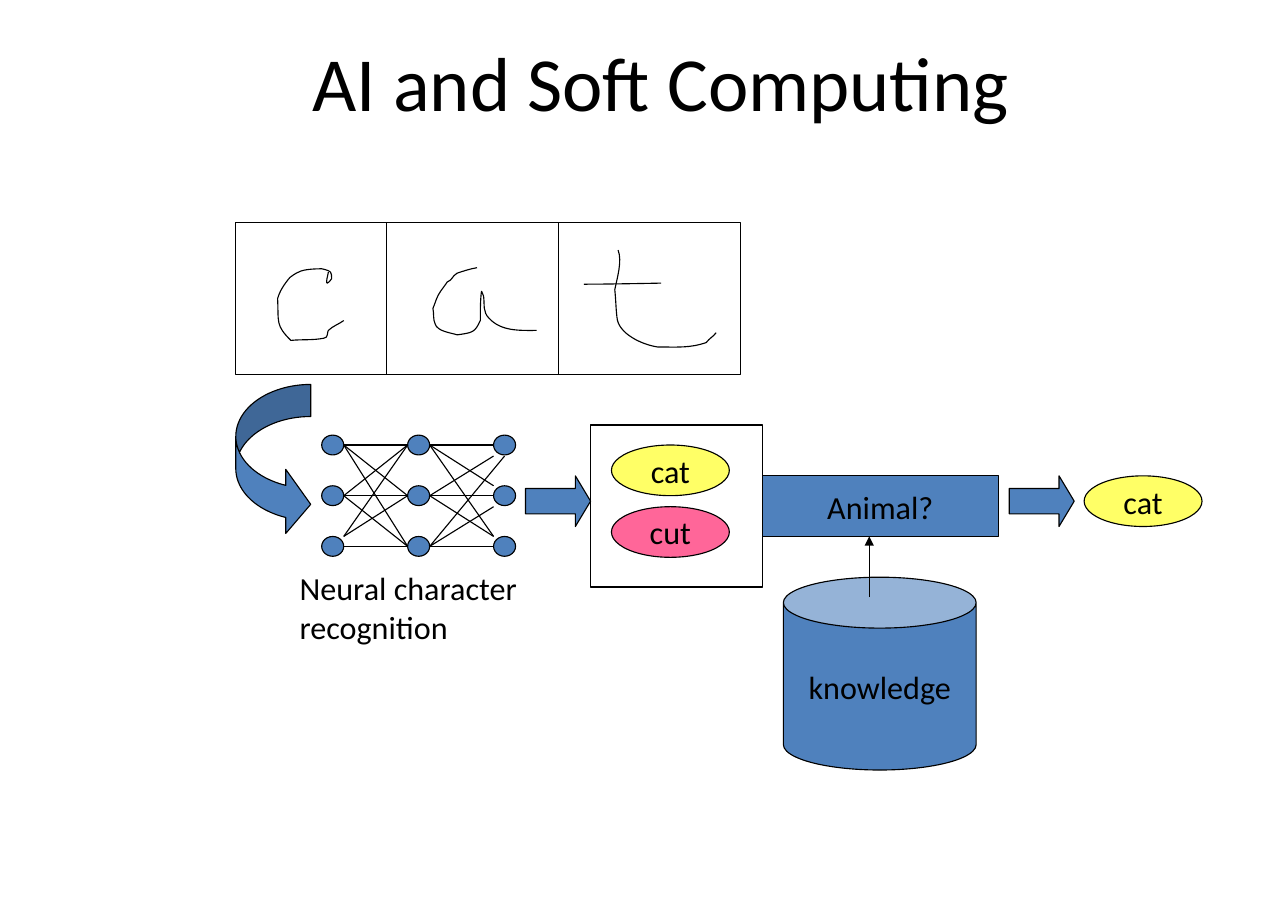
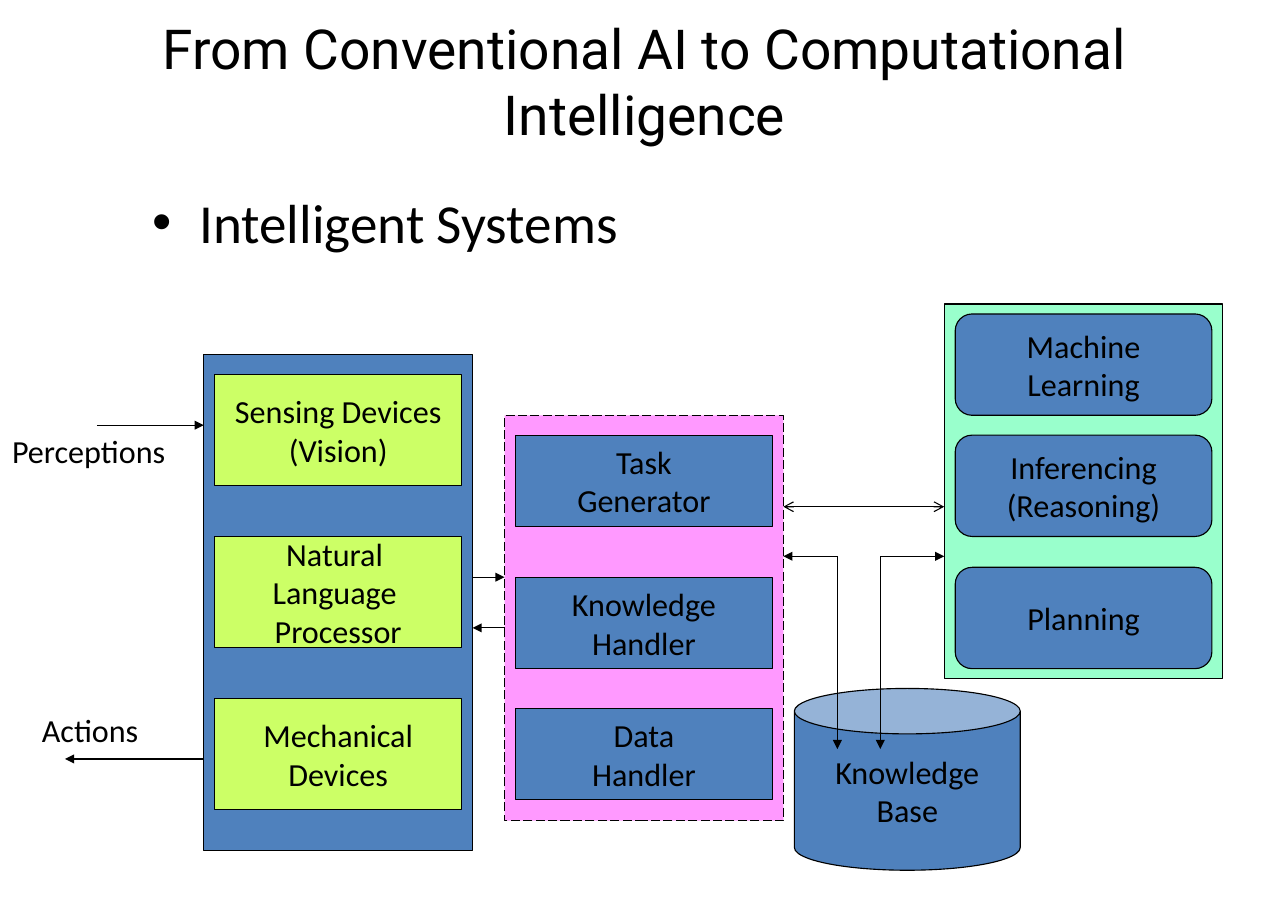
from pptx import Presentation
from pptx import util as u
from pptx.dml.color import RGBColor
from pptx.enum import dml, shapes, text
from pptx.oxml.ns import qn
from lxml import etree

KIND = shapes.MSO_SHAPE
INK, BLUE, YELLOW, ROSE = "000000", "4F81BD", "FFFF66", "FF6699"
LIME, PINK, MINT = "CCFF66", "FF99FF", "99FFCC"
FONT = {"name": "Calibri", "size": u.Pt(21)}
FRAME = {"margin_left": u.Inches(0.11), "margin_right": u.Inches(0.11),
         "margin_top": u.Inches(0.06), "margin_bottom": u.Inches(0.06)}

# Pen strokes of the word "cat": a start, then three points per curve
STROKES = [
    [(.84, .45), (.84, .47), (.79, .62), (.87, .51), (.87, .49), (.87, .46), (.86, .45),
     (.84, .43), (.78, .42), (.78, .42), (.75, .42), (.62, .42), (.57, .45),
     (.54, .46), (.49, .5), (.49, .5), (.44, .56), (.4, .62), (.38, .69),
     (.39, .91), (.36, .93), (.5, 1.07), (.6, 1.06), (.7, 1.07), (.8, 1.05),
     (.84, 1.05), (.83, .99), (.84, .98), (.88, .94), (.94, .92), (.98, .89)],
    [(2.19, .41), (2.13, .42), (2.07, .44), (2.01, .46), (1.96, .49), (1.97, .52), (1.92, .54),
     (1.88, .6), (1.84, .64), (1.82, .7), (1.81, .73), (1.79, .78), (1.79, .78),
     (1.8, .83), (1.79, .88), (1.81, .92), (1.83, .99), (1.95, 1), (2.01, 1.02),
     (2.15, 1), (2.17, 1), (2.22, .89), (2.22, .8), (2.22, .71), (2.23, .63),
     (2.23, .61), (2.24, .65), (2.25, .67), (2.26, .75), (2.24, .81), (2.3, .87),
     (2.41, .99), (2.58, .98), (2.73, .98)],
    [(3.47, .25), (3.51, .35), (3.46, .51), (3.44, .61), (3.45, .7), (3.45, .78), (3.46, .86),
     (3.47, 1.01), (3.69, 1.11), (3.83, 1.13), (4.02, 1.13), (4.12, 1.14), (4.27, 1.09),
     (4.3, 1.05), (4.33, 1.04), (4.36, 1)],
    [(3.16, .56), (3.39, .56), (3.86, .55), (3.86, .55)],
]


def rgb(code):
    return RGBColor.from_string(code)


def assign(obj, values):
    for key, value in values.items():
        setattr(obj, key, value)


def inches(nums):
    return [u.Inches(n) for n in nums]


def write(shape, words, align=text.PP_ALIGN.CENTER, font=FONT, wrap=False):
    frame = shape.text_frame
    frame.text = words
    assign(frame, FRAME)
    frame.word_wrap = wrap
    for par in frame.paragraphs:
        par.alignment = align
        for run in par.runs:
            assign(run.font, font)
            run.font.color.rgb = rgb(INK)
    return frame


def outline(shape, fill=None, width=0.75):
    shape.shadow.inherit = False
    if fill:
        shape.fill.solid()
        shape.fill.fore_color.rgb = rgb(fill)
    else:
        shape.fill.background()
    shape.line.color.rgb = rgb(INK)
    shape.line.width = u.Pt(width)


def block(slide, kind, box, fill=None, words="", adj=(), width=0.75):
    shape = slide.shapes.add_shape(kind, *inches(box))
    outline(shape, fill, width)
    for i, value in enumerate(adj):
        shape.adjustments[i] = value
    if words:
        write(shape, words).vertical_anchor = text.MSO_ANCHOR.MIDDLE
    return shape


def line(slide, start, end, head=None, tail=None):
    link = slide.shapes.add_connector(shapes.MSO_CONNECTOR.STRAIGHT, *inches(start + end))
    link.line.color.rgb = rgb(INK)
    link.line.width = u.Pt(0.75)
    pen = link.line._get_or_add_ln()
    for tag, style in (("a:headEnd", head), ("a:tailEnd", tail)):
        if style:
            etree.SubElement(pen, qn(tag), type=style)
    etree.SubElement(pen.getparent(), qn("a:effectLst"))


def arrow(slide, start, end):
    line(slide, start, end, tail="triangle")


def label(slide, box, words):
    frame = write(slide.shapes.add_textbox(*inches(box)), words, text.PP_ALIGN.LEFT)
    frame.auto_size = text.MSO_AUTO_SIZE.SHAPE_TO_FIT_TEXT


def place(holder, box):
    assign(holder, dict(zip(("left", "top", "width", "height"), inches(box))))


def title(slide, left, words, name, size):
    holder = slide.shapes.title
    place(holder, (left, 0.04, 10.52, 1.38))
    frame = write(holder, words, font={"name": name, "size": u.Pt(size)}, wrap=True)
    frame.vertical_anchor = text.MSO_ANCHOR.MIDDLE
    frame.auto_size = text.MSO_AUTO_SIZE.NONE


def bullet(slide, box, words):
    body = slide.placeholders[1]
    place(body, box)
    frame = write(body, words, text.PP_ALIGN.LEFT, {"name": "Calibri", "size": u.Pt(36)}, True)
    frame.auto_size = text.MSO_AUTO_SIZE.NONE
    props = frame.paragraphs[0]._p.get_or_add_pPr()
    props.set("marL", str(u.Inches(0.43)))
    props.set("indent", str(u.Inches(-0.43)))


def curve(slide, points):
    """Draw a chain of cubic curves: each three points become one curve."""
    start, *rest = [inches(p) for p in points]
    pen = slide.shapes.build_freeform(*start)
    pen.add_line_segments(rest, close=False)
    shape = pen.convert_to_shape()
    outline(shape)
    legs = list(shape._element.iter(qn("a:lnTo")))
    for i in range(0, len(legs), 3):
        bend = etree.Element(qn("a:cubicBezTo"))
        legs[i].addprevious(bend)
        for leg in legs[i:i + 3]:
            bend.append(leg[0])
            leg.getparent().remove(leg)


# Regions of the first slide
def script(slide, box):
    x, y, w, h = box
    block(slide, KIND.RECTANGLE, box)
    for stroke in STROKES:
        curve(slide, [(x + px, y + py) for px, py in stroke])
    for dx in (1.37, 2.93):
        line(slide, (x + dx, y), (x + dx, y + h))


def network(slide, box):
    x, y, w, h = box
    dot_w, dot_h = 0.2, 0.18
    step_x, step_y = (w - dot_w) / 2, (h - dot_h) / 2
    for col in range(3):
        for row in range(3):
            block(slide, KIND.OVAL, (x + col * step_x, y + row * step_y, dot_w, dot_h), BLUE)
    for col in range(2):
        for a in range(3):
            for b in range(3):
                x1, x2 = x + col * step_x + dot_w, x + (col + 1) * step_x
                y1, y2 = (y + dot_h / 2 + n * step_y for n in (a, b))
                # Slanted links meet the rim of the node
                if col == 0 and a == 2 and b < 2:
                    y1 -= 0.09
                if col == 1 and a != b:
                    y2 += 0.1 if a > b else -0.09
                    x2 += 0.1 if a - b == 2 else 0
                line(slide, (x1, y1), (x2, y2))


def choice(slide, box):
    x, y, w, h = box
    block(slide, KIND.RECTANGLE, box, width=1)
    for i, (words, fill) in enumerate((("cat", YELLOW), ("cut", ROSE))):
        block(slide, KIND.OVAL, (x + 0.19, y + 0.18 + i * 0.56, 1.07, 0.46), fill, words)


def check(slide, box):
    x, y, w, h = box
    block(slide, KIND.CAN, (x + 0.19, y + 0.92, 1.75, 1.75), BLUE, "knowledge", [0.264])
    arrow(slide, (x + 0.97, y + 1.1), (x + 0.97, y + h))
    block(slide, KIND.RECTANGLE, box, BLUE, "Animal?")


def soft(slide):
    title(slide, 0.74, "AI and Soft Computing", "Calibri", 50)
    script(slide, (2.14, 2.02, 4.58, 1.38))
    network(slide, (2.92, 3.95, 1.76, 1.1))
    block(slide, KIND.CURVED_RIGHT_ARROW, (2.14, 3.49, 0.68, 1.38), BLUE,
          adj=(0.428, 0.857, 0.333))
    choice(slide, (5.36, 3.86, 1.56, 1.47))
    check(slide, (6.92, 4.32, 2.14, 0.55))
    for left in (4.77, 9.16):
        block(slide, KIND.RIGHT_ARROW, (left, 4.32, 0.59, 0.46), BLUE, adj=(0.5, 0.3))
    block(slide, KIND.OVAL, (9.84, 4.32, 1.07, 0.46), YELLOW, "cat")
    label(slide, (2.61, 5.1, 2.22, 0.82), "Neural character\nrecognition")


# Regions of the second slide
def panel(slide, box, fill, kind, tone, height, parts):
    x, y, w, h = box
    frame = block(slide, KIND.RECTANGLE, box, fill)
    for dy, words in parts:
        block(slide, kind, (x + 0.1, y + dy, w - 0.2, height), tone, words)
    return frame


def base(slide, box):
    x, y, w, h = box
    block(slide, KIND.CAN, box, BLUE, "Knowledge\nBase", [0.25])
    for dx, side in ((0.39, -0.1), (0.78, 1.36)):
        bend = (x + dx, y - 1.2)
        arrow(slide, bend, (x + side, y - 1.2))
        arrow(slide, bend, (x + dx, y + 0.55))


def systems(slide):
    title(slide, 0.59, "From Conventional AI to Computational Intelligence", "Roboto", 36)
    bullet(slide, (1.27, 1.65, 8.96, 0.73), "Intelligent Systems")
    # Three panels
    panel(slide, (1.85, 3.22, 2.44, 4.5), BLUE, KIND.RECTANGLE, LIME, 1.01,
          [(0.18, "Sensing Devices\n(Vision)"), (1.65, "Natural \nLanguage \nProcessor"),
           (3.12, "Mechanical\nDevices")])
    tasks = panel(slide, (4.58, 3.77, 2.53, 3.68), PINK, KIND.RECTANGLE, BLUE, 0.83,
                  [(0.18, "Task\nGenerator"), (1.47, "Knowledge\nHandler"),
                   (2.66, "Data\nHandler")])
    tasks.line.dash_style = dml.MSO_LINE.LONG_DASH
    panel(slide, (8.57, 2.76, 2.53, 3.4), MINT, KIND.FLOWCHART_ALTERNATE_PROCESS, BLUE, 0.92,
          [(0.09, "Machine\nLearning"), (1.19, "Inferencing\n(Reasoning)"),
           (2.39, "Planning")])
    base(slide, (7.21, 6.25, 2.05, 1.65))
    # Signals between the panels and the outside
    for x1, x2, y in ((0.88, 1.85, 3.86), (1.85, 0.59, 6.89),
                      (4.29, 4.58, 5.24), (4.58, 4.29, 5.7)):
        arrow(slide, (x1, y), (x2, y))
    line(slide, (7.11, 4.6), (8.57, 4.6), "arrow", "arrow")
    label(slide, (0, 3.86, 1.64, 0.47), "Perceptions")
    label(slide, (0.27, 6.39, 1.12, 0.47), "Actions")


def main():
    deck = Presentation()
    deck.slide_width, deck.slide_height = inches((11.69, 8.27))
    for layout, fill in ((5, soft), (1, systems)):
        fill(deck.slides.add_slide(deck.slide_layouts[layout]))
    deck.save("out.pptx")


if __name__ == "__main__":
    main()
